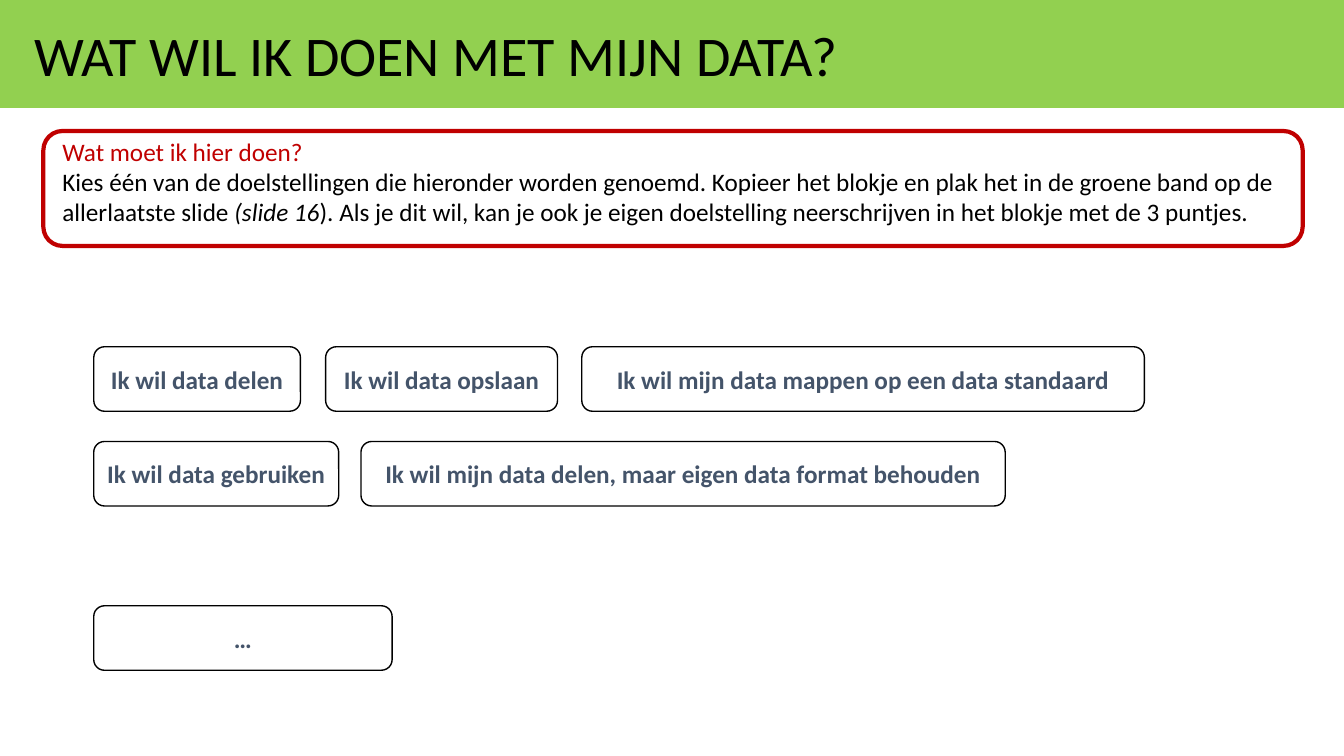
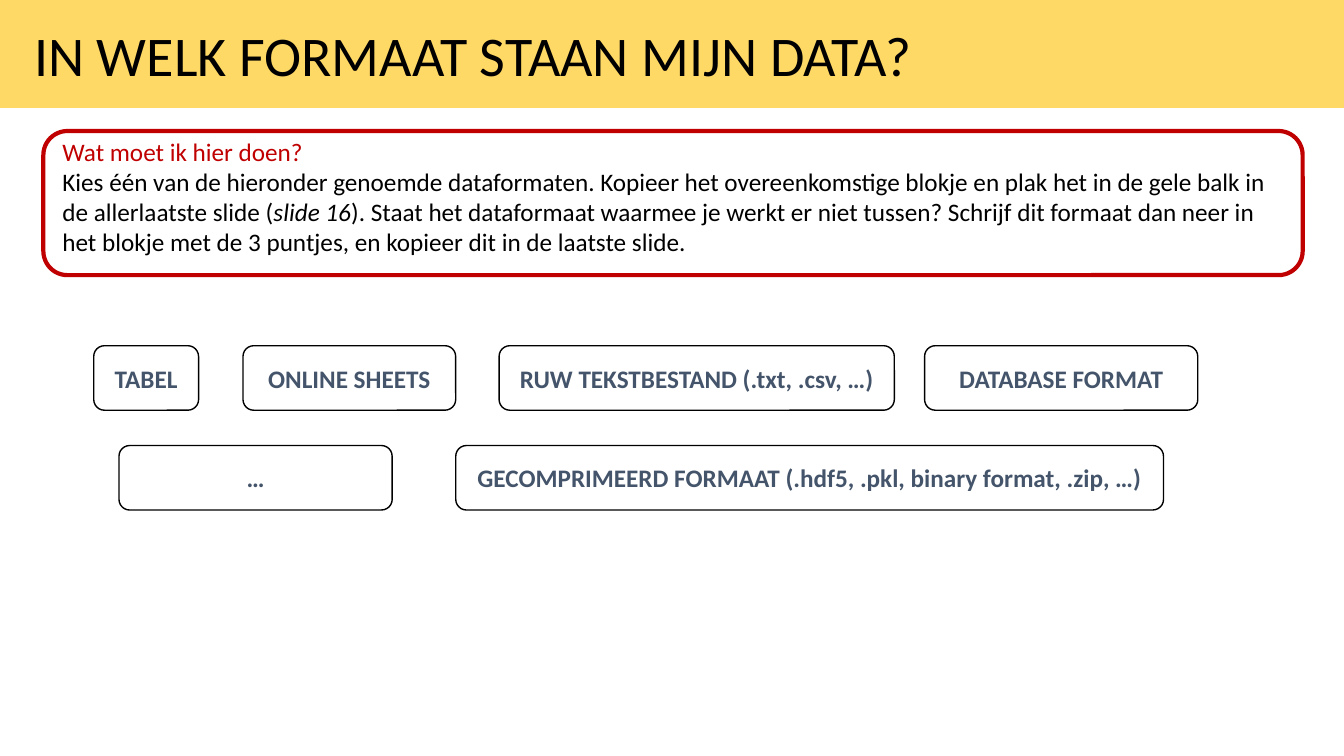
from pptx import Presentation
from pptx.dml.color import RGBColor
from pptx.enum.shapes import MSO_SHAPE
from pptx.enum.text import MSO_ANCHOR, MSO_AUTO_SIZE, PP_ALIGN
from pptx.util import Inches, Pt

RECTANGLE, ROUNDED = MSO_SHAPE.RECTANGLE, MSO_SHAPE.ROUNDED_RECTANGLE
MIDDLE, CENTER, LEFT = MSO_ANCHOR.MIDDLE, PP_ALIGN.CENTER, PP_ALIGN.LEFT

WIDTH, HEIGHT = 13.33, 7.5
FONT = "Calibri"
BLACK, WHITE, RED, SLATE = "000000", "FFFFFF", "C00000", "44546A"
BAND_HEIGHT, HELP_TOP, CHIP_HEIGHT = 1.07, 1.3, 0.64
HELP_PADDING = 0.13
HELP_HEADING = "Wat moet ik hier doen?"

# help: (text, italic) runs; rows: (top, [(label, left, width), ...])
SLIDES = [
    {
        "title": "WAT WIL IK DOEN MET MIJN DATA?",
        "band": "92D050",
        "help": [
            ("Kies één van de doelstellingen die hieronder worden genoemd. Kopieer het "
             "blokje en plak het in de groene band op de allerlaatste slide ", False),
            ("(slide 16", True),
            ("). Als je dit wil, kan je ook je eigen doelstelling neerschrijven in het "
             "blokje met de 3 puntjes.", False),
        ],
        "help_height": 1.14,
        "rows": [
            (3.44, [("Ik wil data delen", 0.93, 2.05),
                    ("Ik wil data opslaan", 3.23, 2.3),
                    ("Ik wil mijn data mappen op een data standaard", 5.77, 5.58)]),
            (4.38, [("Ik wil data gebruiken", 0.93, 2.43),
                    ("Ik wil mijn data delen, maar eigen data format behouden", 3.58, 6.39)]),
            (6.01, [("…", 0.93, 2.96)]),
        ],
    },
    {
        "title": "IN WELK FORMAAT STAAN MIJN DATA?",
        "band": "FFD966",
        "help": [
            ("Kies één van de hieronder genoemde dataformaten. Kopieer het overeenkomstige "
             "blokje en plak het in de gele balk in de allerlaatste slide (", False),
            ("slide 16", True),
            ("). Staat het dataformaat waarmee je werkt er niet tussen? Schrijf dit formaat "
             "dan neer in het blokje met de 3 puntjes, en kopieer dit in de laatste slide.",
             False),
        ],
        "help_height": 1.43,
        "rows": [
            (3.43, [("TABEL", 0.93, 1.04),
                    ("ONLINE SHEETS", 2.41, 2.11),
                    ("RUW TEKSTBESTAND (.txt, .csv, …)", 4.95, 3.92),
                    ("DATABASE FORMAT", 9.17, 2.71)]),
            (4.42, [("…", 1.18, 2.71),
                    ("GECOMPRIMEERD FORMAAT (.hdf5, .pkl, binary format, .zip, …)",
                     4.52, 7.02)]),
        ],
    },
]


def rgb(value):
    return RGBColor.from_string(value)


def add_box(page, kind, place, fill=None, line=None, line_width=1):
    box = page.shapes.add_shape(kind, *map(Inches, place))
    box.shadow.inherit = False
    if fill:
        box.fill.solid()
        box.fill.fore_color.rgb = rgb(fill)
    else:
        box.fill.background()
    if line:
        box.line.color.rgb = rgb(line)
        box.line.width = Pt(line_width)
    else:
        box.line.fill.background()
    return box


def add_text(page, place):
    box = page.shapes.add_textbox(*map(Inches, place))
    box.text_frame.word_wrap = True
    box.text_frame.auto_size = MSO_AUTO_SIZE.SHAPE_TO_FIT_TEXT
    return box.text_frame


def add_span(para, text, color=BLACK, size=18, bold=False, italic=False):
    span = para.add_run()
    span.text = text
    font = span.font
    font.name, font.size, font.bold, font.italic = FONT, Pt(size), bold, italic
    font.color.rgb = rgb(color)


def add_title_band(page, title, color):
    add_box(page, RECTANGLE, (0, 0, WIDTH, BAND_HEIGHT), fill=color)
    frame = add_text(page, (0.24, 0.15, 12.84, 0.77))
    add_span(frame.paragraphs[0], title, size=40)


def add_help(page, runs, height):
    frame = add_text(page, (0.52, HELP_TOP, 12.31, height - HELP_PADDING))
    add_span(frame.paragraphs[0], HELP_HEADING, RED)
    para = frame.add_paragraph()
    for text, italic in runs:
        add_span(para, text, italic=italic)
    add_box(page, ROUNDED, (0.43, HELP_TOP, 12.49, height), line=RED, line_width=3)


def add_chip(page, label, left, top, width):
    chip = add_box(page, ROUNDED, (left, top, width, CHIP_HEIGHT), WHITE, BLACK)
    frame = chip.text_frame
    frame.word_wrap = True
    frame.vertical_anchor = MIDDLE
    para = frame.paragraphs[0]
    para.alignment = CENTER
    add_span(para, label, SLATE, bold=True)


def main():
    deck = Presentation()
    deck.slide_width, deck.slide_height = Inches(WIDTH), Inches(HEIGHT)
    blank = deck.slide_layouts[6]
    for content in SLIDES:
        page = deck.slides.add_slide(blank)
        add_title_band(page, content["title"], content["band"])
        add_help(page, content["help"], content["help_height"])
        for top, chips in content["rows"]:
            for label, left, width in chips:
                add_chip(page, label, left, top, width)
    deck.save("out.pptx")


if __name__ == "__main__":
    main()
